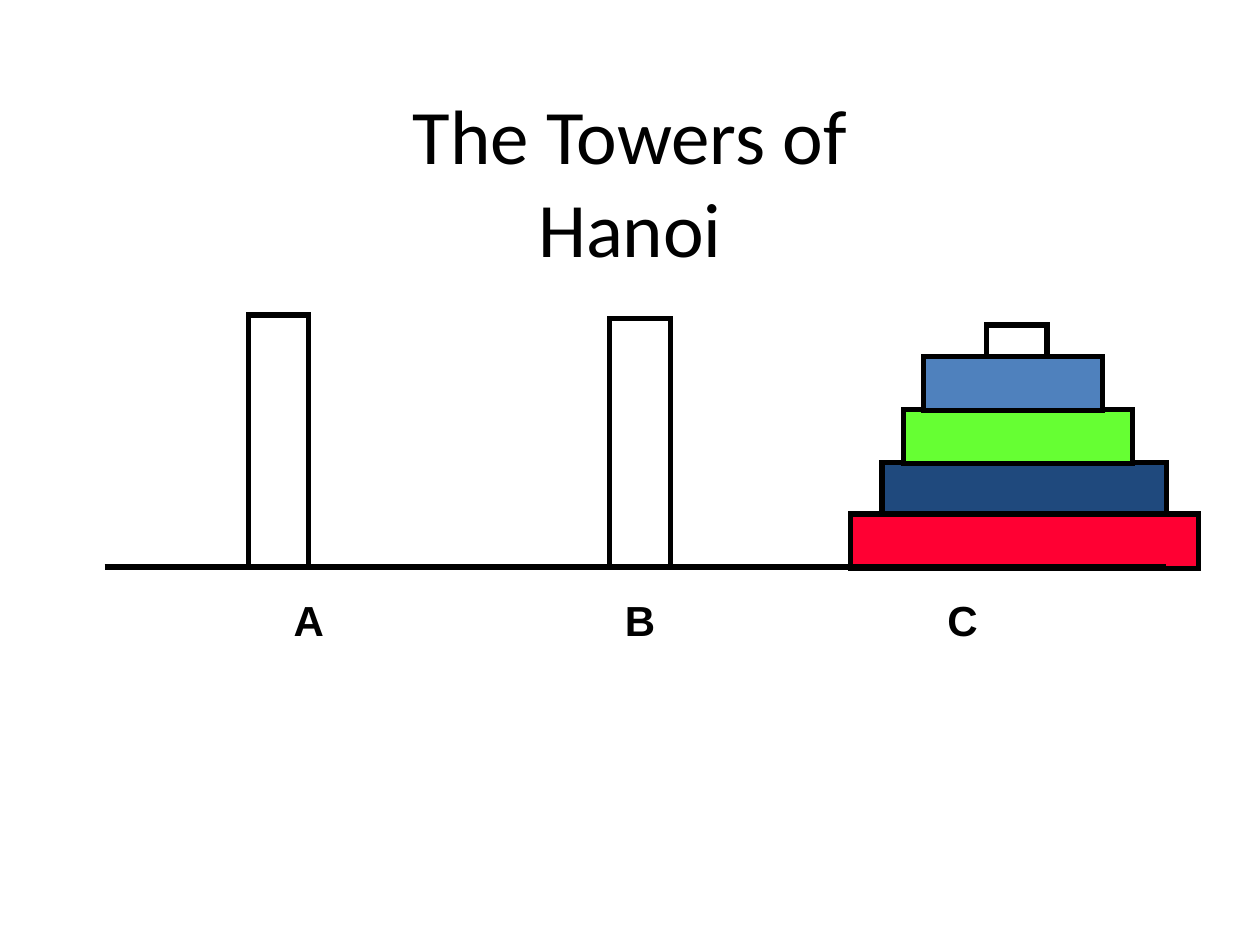
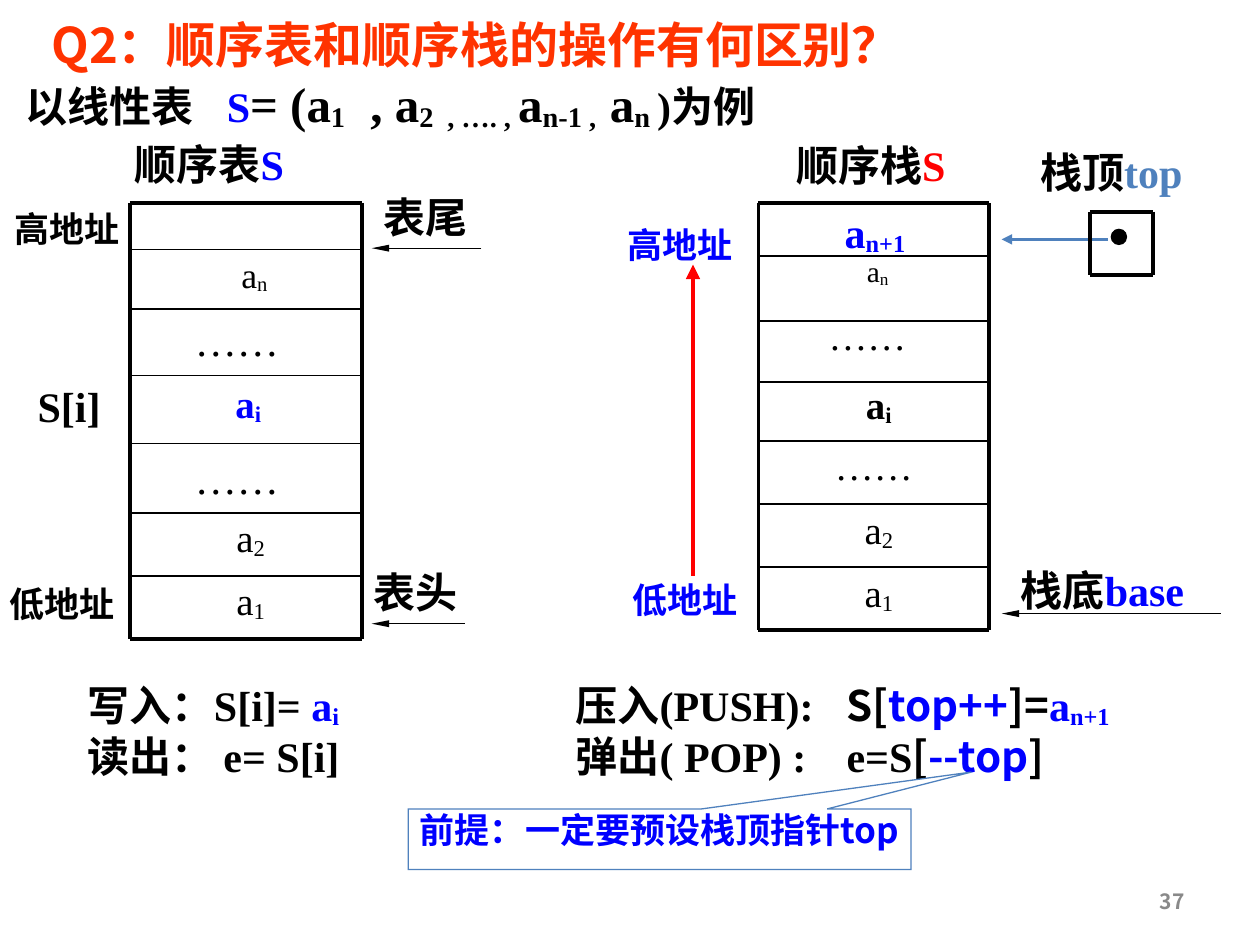
from lxml import etree
from pptx import Presentation
from pptx.dml.color import RGBColor
from pptx.enum.shapes import MSO_CONNECTOR, MSO_SHAPE
from pptx.enum.text import MSO_ANCHOR, PP_ALIGN
from pptx.oxml.ns import qn
from pptx.util import Inches, Pt

LINE = MSO_CONNECTOR.STRAIGHT
RECT = MSO_SHAPE.RECTANGLE
OVAL = MSO_SHAPE.OVAL
CALL = MSO_SHAPE.RECTANGULAR_CALLOUT
ALIGN = {"l": PP_ALIGN.LEFT, "c": PP_ALIGN.CENTER, "r": PP_ALIGN.RIGHT}
TOP, MID = MSO_ANCHOR.TOP, MSO_ANCHOR.MIDDLE

HUES = {
    "ink": "000000", "paper": "FFFFFF", "blue": "0000FF", "red": "FF0000",
    "steel": "4F81BD", "navy": "1F497D", "green": "66FF33", "rose": "FF0033",
    "orange": "FF3300", "grey": "898989",
}
SERIF, SANS, CJK = "Times New Roman", "Calibri", "Noto Sans CJK SC"
PAD = (0.1, 0.05, 0.1, 0.05)
THIN, PLAIN = ("sm", "lg"), ("med", "med")
DOTS = "……"


def hue(name):
    return RGBColor.from_string(HUES[name])


def run(text, **fmt):
    return text, fmt


def sub(text, **fmt):
    return text, {"base": -10, **fmt}


def style(part, size=24, font=SERIF, color="ink", bold=False, base=0):
    part.font.size, part.font.name, part.font.bold = Pt(size), font, bold
    part.font.color.rgb = hue(color)
    props = part._r.get_or_add_rPr()
    if base:
        props.set("baseline", str(base * 1000))
    if any(char >= "一" for char in part.text):
        latin = props.find(qn("a:latin"))
        east = etree.Element(qn("a:ea"), typeface=CJK)
        latin.addnext(east)


def fill_text(frame, rows, align="l", anchor=TOP, pad=PAD,
              spacing=None, tabs=(), **fmt):
    frame.word_wrap, frame.vertical_anchor = True, anchor
    (frame.margin_left, frame.margin_top,
     frame.margin_right, frame.margin_bottom) = map(Inches, pad)
    for index, row in enumerate(rows):
        para = frame.add_paragraph() if index else frame.paragraphs[0]
        para.alignment = ALIGN[align]
        if spacing:
            para.line_spacing = spacing
        if tabs:
            stops = etree.SubElement(para._p.get_or_add_pPr(), qn("a:tabLst"))
            for stop in tabs:
                etree.SubElement(stops, qn("a:tab"),
                                 pos=str(Inches(stop)), algn="l")
        for item in row:
            text, own = run(item) if isinstance(item, str) else item
            part = para.add_run()
            part.text = text
            style(part, **{**fmt, **own})


def say(slide, box, *rows, **fmt):
    frame = slide.shapes.add_textbox(*map(Inches, box)).text_frame
    fill_text(frame, rows, **fmt)


def shape(slide, kind, box, fill=None, line="ink", width=3):
    item = slide.shapes.add_shape(kind, *map(Inches, box))
    item.shadow.inherit = False
    if fill:
        item.fill.solid()
        item.fill.fore_color.rgb = hue(fill)
    else:
        item.fill.background()
    item.line.color.rgb = hue(line)
    item.line.width = Pt(width)
    etree.SubElement(item.line._get_or_add_ln(), qn("a:miter"), lim="800000")
    return item


def rule(slide, start, end, width=1, color="ink", head=None):
    item = slide.shapes.add_connector(LINE, *map(Inches, start + end))
    item.line.color.rgb = hue(color)
    item.line.width = Pt(width)
    if head:
        wide, long = head
        etree.SubElement(item.line._get_or_add_ln(), qn("a:tailEnd"),
                         type="triangle", w=wide, len=long)
    etree.SubElement(item._element.spPr, qn("a:effectLst"))


def title(slide, box, text, **fmt):
    say(slide, box, [text], anchor=MID, **fmt)


def tower(slide, left, base):
    for x, high in ((1.14, 2), (4.01, 1.97), (7, 1.92)):
        shape(slide, RECT, (left + x, base - high, 0.48, high))
    discs = ((6.17, 0.83, 2.26, "navy"), (6.34, 1.25, 1.82, "green"),
             (5.92, 0.42, 2.76, "rose"), (6.5, 1.67, 1.42, "steel"))
    for x, rise, wide, color in discs:
        shape(slide, RECT, (left + x, base - rise, wide, 0.43), color)
    rule(slide, (left, base), (left + 8.42, base), 3)
    for name, x in (("A", 1.62), ("B", 4.25), ("C", 6.81)):
        say(slide, (left + x - 0.3, base + 0.17, 0.6, 0.5), [name],
            align="c", font="Arial", bold=True)


def stack(slide, box, head, color, rows):
    x, y, wide, high = box
    dx, dy, name = head
    say(slide, (x + dx, y + dy, 1.6, 0.5),
        [name, run("S", color=color)], bold=True)
    for top, lift, shift, size, spacing, *runs in rows:
        say(slide, (x + shift, y + top + lift, wide, 0.5), runs, align="c",
            size=size, spacing=spacing)
        if top:
            rule(slide, (x, y + top), (x + wide, y + top))
    frame(slide, box)


def frame(slide, box):
    x, y, wide, high = box
    for edge in (y, y + high):
        rule(slide, (x, edge), (x + wide, edge), 2.25)
    for edge in (x, x + wide):
        rule(slide, (edge, y), (edge, y + high), 2.25)


def tag(slide, box, *runs, **fmt):
    say(slide, box, runs, align="c", anchor=MID, bold=True, **fmt)


def list_side(slide, x, y):
    rows = (
        (0.37, 0.01, 0.07, 20.4, 0.9, "a", sub("n")),
        (0.84, 0, -0.07, 24, None, DOTS),
        (1.37, 0.02, 0.02, 22.2, 0.9, run("a", color="blue", bold=True),
         sub("i", color="blue", bold=True)),
        (1.91, 0.02, -0.07, 24, None, DOTS),
        (2.46, 0, 0.04, 22.2, 0.9, "a", sub("2")),
        (2.96, 0, 0.04, 22.2, 0.9, "a", sub("1")),
    )
    stack(slide, (x, y, 1.84, 3.46), (-0.06, -0.56, "顺序表"), "blue", rows)
    tag(slide, (x - 1.03, y - 0.02, 1.07, 0.44), "高地址", size=20)
    tag(slide, (x - 1.07, y + 2.96, 1.07, 0.44), "低地址", size=20)
    say(slide, (x - 0.83, y + 1.36, 0.8, 0.5), ["S[i]"], bold=True)
    for name, dx, dy, end in (("表尾", 1.75, 0.36, 2.79),
                              ("表头", 1.67, 3.34, 2.66)):
        tag(slide, (x + dx, y + dy - 0.5, 1.2, 0.5), name)
        rule(slide, (x + end, y + dy), (x + 1.92, y + dy), 0.75, head=THIN)


def stack_side(slide, x, y):
    rows = (
        (0, -0.02, 0.01, 24, None, run("a", color="blue", bold=True),
         sub("n+1", color="blue", bold=True)),
        (0.42, -0.02, 0.03, 16.8, 0.8, "a", sub("n")),
        (0.94, -0.08, -0.05, 22.2, 0.9, DOTS),
        (1.42, -0.02, 0.04, 22.2, 0.9, run("a", bold=True),
         sub("i", bold=True)),
        (1.89, 0, 0, 22.2, 0.9, DOTS),
        (2.39, 0, 0.04, 22.2, 0.9, "a", sub("2")),
        (2.89, 0, 0.04, 22.2, 0.9, "a", sub("1")),
    )
    stack(slide, (x, y, 1.83, 3.39), (0.2, -0.55, "顺序栈"), "red", rows)
    tag(slide, (x - 1.16, y + 0.11, 1.07, 0.44), "高地址", size=20, color="blue")
    tag(slide, (x - 1.12, y + 2.93, 1.07, 0.44), "低地址", size=20, color="blue")
    rule(slide, (x - 0.52, y + 2.96), (x - 0.52, y + 0.49), 2.75, "red", PLAIN)
    tag(slide, (x + 1.8, y - 0.5, 2, 0.5), "栈顶", run("top", color="steel"))
    tag(slide, (x + 1.73, y + 2.82, 2, 0.5), "栈底", run("base", color="blue"))
    rule(slide, (x + 3.67, y + 3.26), (x + 1.93, y + 3.26), 0.75, head=THIN)
    rule(slide, (x + 2.77, y + 0.29), (x + 1.93, y + 0.29), 2, "steel", PLAIN)
    frame(slide, (x + 2.63, y + 0.07, 0.5, 0.5))
    shape(slide, OVAL, (x + 2.8, y + 0.21, 0.12, 0.12), "ink", width=0.75)


def notes(slide, y):
    say(slide, (0.6, y, 2.6, 0.91),
        ["写入：S[i]= ", run("a", color="blue"), sub("i", color="blue")],
        ["读出： e= S[i]"], bold=True)
    say(slide, (4.47, y, 4.68, 0.91),
        ["压入(PUSH):\t", run("S[", font=CJK),
         run("top++", font=CJK, color="blue"), run("]=", font=CJK),
         run("a", color="blue"), sub("n+1", color="blue")],
        ["弹出( POP) :\te=S", run("[", font=CJK),
         run("--top", font=CJK, color="blue"), run("]", font=CJK)],
        bold=True, tabs=(2.15,))
    hint = shape(slide, CALL, (3.24, y + 1.08, 3.99, 0.48), "paper", "steel", 0.75)
    hint.adjustments[0], hint.adjustments[1] = 0.62, -1.11
    fill_text(hint.text_frame, [["前提：一定要预设栈顶指针top"]], align="c",
              pad=(0, 0, 0, 0), size=20, font=CJK, color="blue", bold=True)


def formula(slide, box):
    def low(text):
        return run(text, size=28, base=-12)

    def big(text):
        return run(text, size=28)

    say(slide, box,
        ["以线性表\t", run("S", color="blue"), big("= (a"), low("1"),
         big("\t, a"), low("2\t, …. , "), big("a"), low("n-1 ,\t"),
         big("a"), low("n "), ")为例"],
        pad=(0, 0, 0, 0), bold=True, tabs=(1.6, 2.74, 3.35, 4.64))


def hanoi(slide):
    title(slide, (2.75, 0.67, 4.5, 1.52), "The Towers of Hanoi", align="c",
          pad=(0.07, 0.03, 0.07, 0.03), size=44, font=SANS)
    tower(slide, 0.83, 4.5)


def compare(slide):
    title(slide, (0.31, 0.06, 8.69, 0.57), "Q2：顺序表和顺序栈的操作有何区别？",
          size=28, font=CJK, color="orange", bold=True)
    formula(slide, (0.2, 0.58, 6.14, 0.48))
    list_side(slide, 1.03, 1.61)
    stack_side(slide, 6.02, 1.61)
    notes(slide, 5.34)
    say(slide, (7.17, 6.95, 2.33, 0.4), ["37"], align="r", anchor=MID,
        size=12, font=CJK, color="grey", bold=True)


def main():
    deck = Presentation()
    deck.slide_width, deck.slide_height = Inches(10), Inches(7.5)
    for build in (hanoi, compare):
        build(deck.slides.add_slide(deck.slide_layouts[6]))
    deck.save("out.pptx")


if __name__ == "__main__":
    main()
